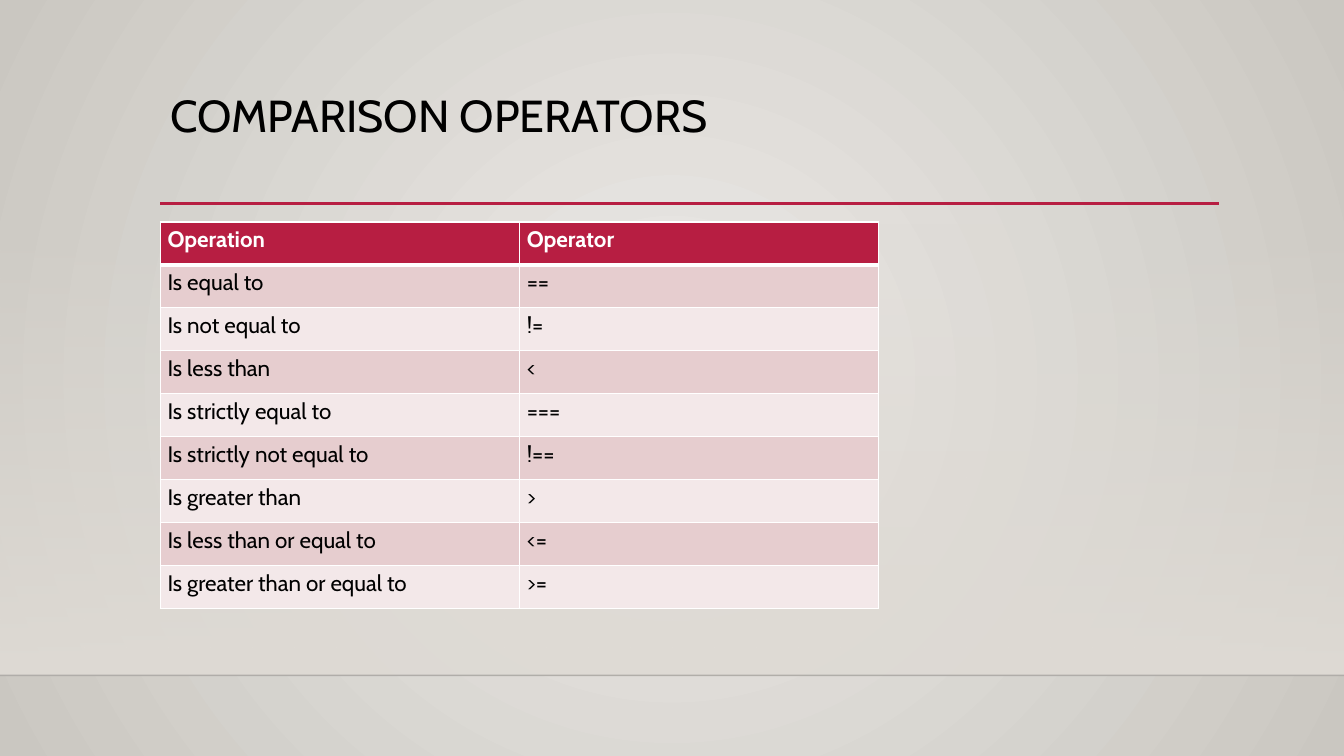
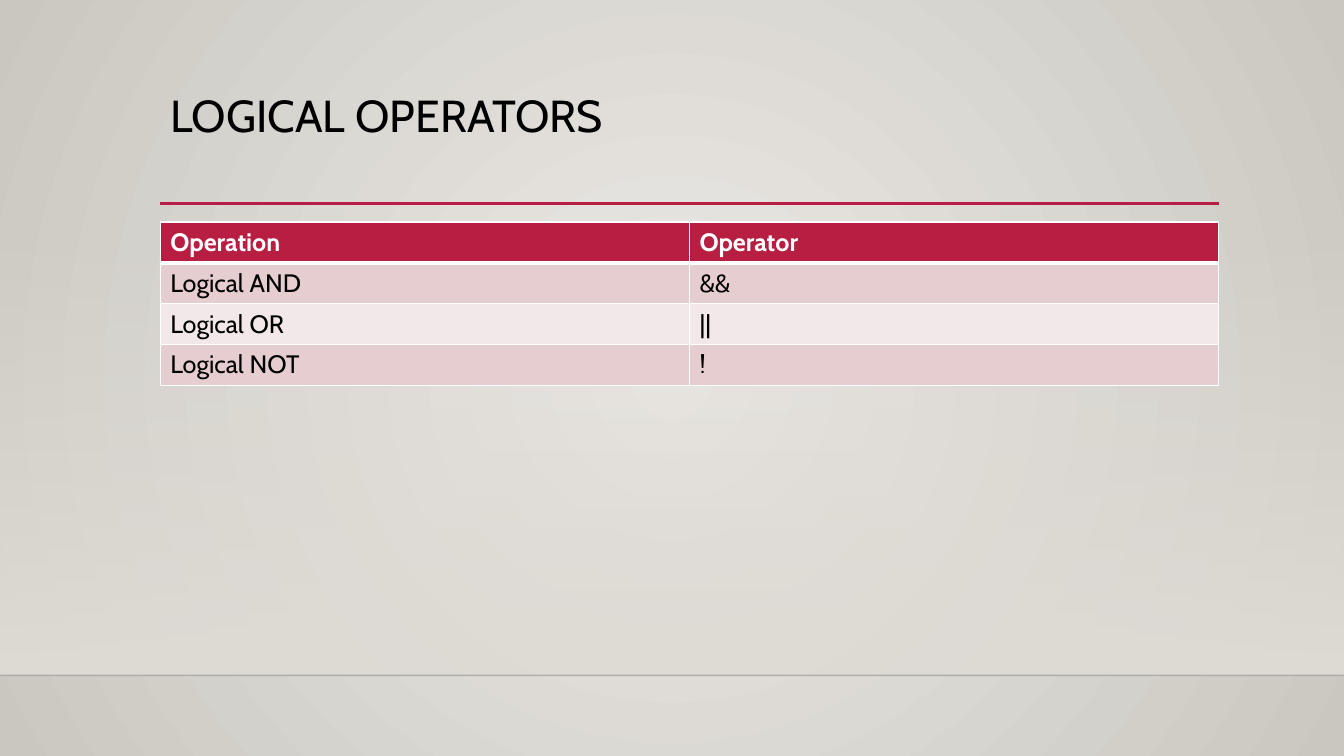
from dataclasses import dataclass

from lxml import etree
from pptx import Presentation
from pptx import util as u
from pptx.dml.color import RGBColor
from pptx.enum import shapes, text
from pptx.oxml import ns

Pt = u.Pt


@dataclass(frozen=True)
class Theme:
    font: str = "Cabin"
    title_size: float = 32
    ink: str = "000000"
    white: str = "FFFFFF"
    accent: str = "B71E42"
    row_dark: str = "E6CDCF"
    row_light: str = "F3E8E9"
    glow: str = "ECEAE7"
    edge: str = "CAC7C1"
    wall: str = "DFDBD5"
    floor_line: str = "000001"


@dataclass(frozen=True)
class OperatorSlide:
    title: str
    operators: list[tuple[str, str]]
    column_width: float
    row_height: float
    text_size: float
    inset_x: float = 7.2
    inset_y: float = 3.6


THEME = Theme()
SLIDE_W, SLIDE_H = 960, 540
LEFT, CONTENT_W = 114.5, 756
TITLE_TOP, TITLE_H = 63.4, 82.6
RULE_Y, TABLE_TOP = 145.5, 158.5
WALL_TOP, FLOOR_Y = 159, 482.4
BORDER, HEADER_BORDER = 1, 3

SLIDES = [
    OperatorSlide(
        "COMPARISON OPERATORS",
        [
            ("Is equal to", "=="),
            ("Is not equal to", "!="),
            ("Is less than", "<"),
            ("Is strictly equal to", "==="),
            ("Is strictly not equal to", "!=="),
            ("Is greater than", ">"),
            ("Is less than or equal to", "<="),
            ("Is greater than or equal to", ">="),
        ],
        column_width=256.6, row_height=30.7, text_size=16,
        inset_x=5.2, inset_y=2.7,
    ),
    OperatorSlide(
        "LOGICAL OPERATORS",
        [("Logical AND", "&&"), ("Logical OR", "||"), ("Logical NOT", "!")],
        column_width=CONTENT_W / 2, row_height=29.2, text_size=18,
    ),
]


def rgb(value: str) -> RGBColor:
    return RGBColor.from_string(value)


def child(parent, tag: str, **attributes: str):
    return etree.SubElement(parent, ns.qn(tag), **attributes)


def set_opacity(element, percent: int) -> None:
    """Make the first colour inside the element translucent."""
    colour = element.find(".//" + ns.qn("a:srgbClr"))
    child(colour, "a:alpha", val=str(percent * 1000))


def set_gradient(fill, start: str, end: str) -> None:
    fill.gradient()
    for stop, colour in zip(fill.gradient_stops, (start, end)):
        stop.color.rgb = rgb(colour)


def write(frame, content: str, *, size: float, color: str = THEME.ink,
          bold: bool = False, line_spacing: float = 1.0) -> None:
    frame.text = content
    paragraph = frame.paragraphs[0]
    paragraph.alignment = text.PP_ALIGN.LEFT
    paragraph.line_spacing = line_spacing
    font = paragraph.runs[0].font
    font.name, font.size, font.bold = THEME.font, Pt(size), bold
    font.color.rgb = rgb(color)


def set_background(master) -> None:
    """Radial glow inherited by every slide."""
    set_gradient(master.background.fill, THEME.glow, THEME.edge)
    gradient = master.element.find(".//" + ns.qn("a:gradFill"))
    gradient.remove(gradient.find(ns.qn("a:lin")))
    circle = child(gradient, "a:path", path="circle")
    child(circle, "a:fillToRect", l="50000", t="50000", r="50000", b="50000")


def add_line(slide, left: float, y: float, width: float, color: str,
             weight: float, opacity: int = 100) -> None:
    line = slide.shapes.add_connector(
        shapes.MSO_CONNECTOR.STRAIGHT, Pt(left), Pt(y), Pt(left + width), Pt(y))
    line.line.color.rgb = rgb(color)
    line.line.width = Pt(weight)
    properties = line.element.spPr
    if opacity < 100:
        set_opacity(properties, opacity)
    child(properties, "a:effectLst")


def add_scenery(slide) -> None:
    # Wall fading in towards the floor
    wall = slide.shapes.add_shape(
        shapes.MSO_SHAPE.RECTANGLE, 0, Pt(WALL_TOP), Pt(SLIDE_W), Pt(FLOOR_Y - WALL_TOP))
    wall.shadow.inherit = False
    wall.line.fill.background()
    set_gradient(wall.fill, THEME.wall, THEME.wall)
    wall.fill.gradient_angle = 270
    set_opacity(wall.element.spPr, 0)

    # Floor edge and title rule
    add_line(slide, 0, FLOOR_Y, SLIDE_W, THEME.floor_line, 1, opacity=20)
    add_line(slide, LEFT, RULE_Y, CONTENT_W, THEME.accent, 2.5)


def set_title(slide, content: str) -> None:
    title = slide.shapes.title
    title.left, title.top = Pt(LEFT), Pt(TITLE_TOP)
    title.width, title.height = Pt(CONTENT_W), Pt(TITLE_H)
    frame = title.text_frame
    frame.word_wrap = True
    frame.auto_size = text.MSO_AUTO_SIZE.NONE
    frame.vertical_anchor = text.MSO_ANCHOR.TOP
    write(frame, content, size=THEME.title_size, line_spacing=0.9)


def set_borders(cell, top: float, bottom: float) -> None:
    """Add white borders; call before the fill, which must follow them."""
    properties = cell._tc.get_or_add_tcPr()
    for side, weight in zip("LRTB", (BORDER, BORDER, top, bottom)):
        border = child(properties, f"a:ln{side}", w=str(Pt(weight)))
        child(child(border, "a:solidFill"), "a:srgbClr", val=THEME.white)


def add_operator_table(slide, content: OperatorSlide) -> None:
    entries = [("Operation", "Operator"), *content.operators]
    table = slide.shapes.add_table(
        len(entries), 2, Pt(LEFT), Pt(TABLE_TOP),
        Pt(2 * content.column_width), Pt(len(entries) * content.row_height)).table
    for column in table.columns:
        column.width = Pt(content.column_width)

    for index, entry in enumerate(entries):
        table.rows[index].height = Pt(content.row_height)
        header = index == 0
        band = THEME.row_dark if index % 2 else THEME.row_light
        for cell, label in zip(table.rows[index].cells, entry):
            set_borders(cell, top=HEADER_BORDER if index == 1 else BORDER,
                        bottom=HEADER_BORDER if header else BORDER)
            cell.fill.solid()
            cell.fill.fore_color.rgb = rgb(THEME.accent if header else band)
            cell.margin_left = cell.margin_right = Pt(content.inset_x)
            cell.margin_top = cell.margin_bottom = Pt(content.inset_y)
            write(cell.text_frame, label, size=content.text_size, bold=header,
                  color=THEME.white if header else THEME.ink)


def main() -> None:
    deck = Presentation()
    deck.slide_width, deck.slide_height = Pt(SLIDE_W), Pt(SLIDE_H)
    set_background(deck.slide_master)
    title_only = deck.slide_layouts.get_by_name("Title Only")
    for content in SLIDES:
        slide = deck.slides.add_slide(title_only)
        add_scenery(slide)
        set_title(slide, content.title)
        add_operator_table(slide, content)
    deck.save("out.pptx")


if __name__ == "__main__":
    main()
